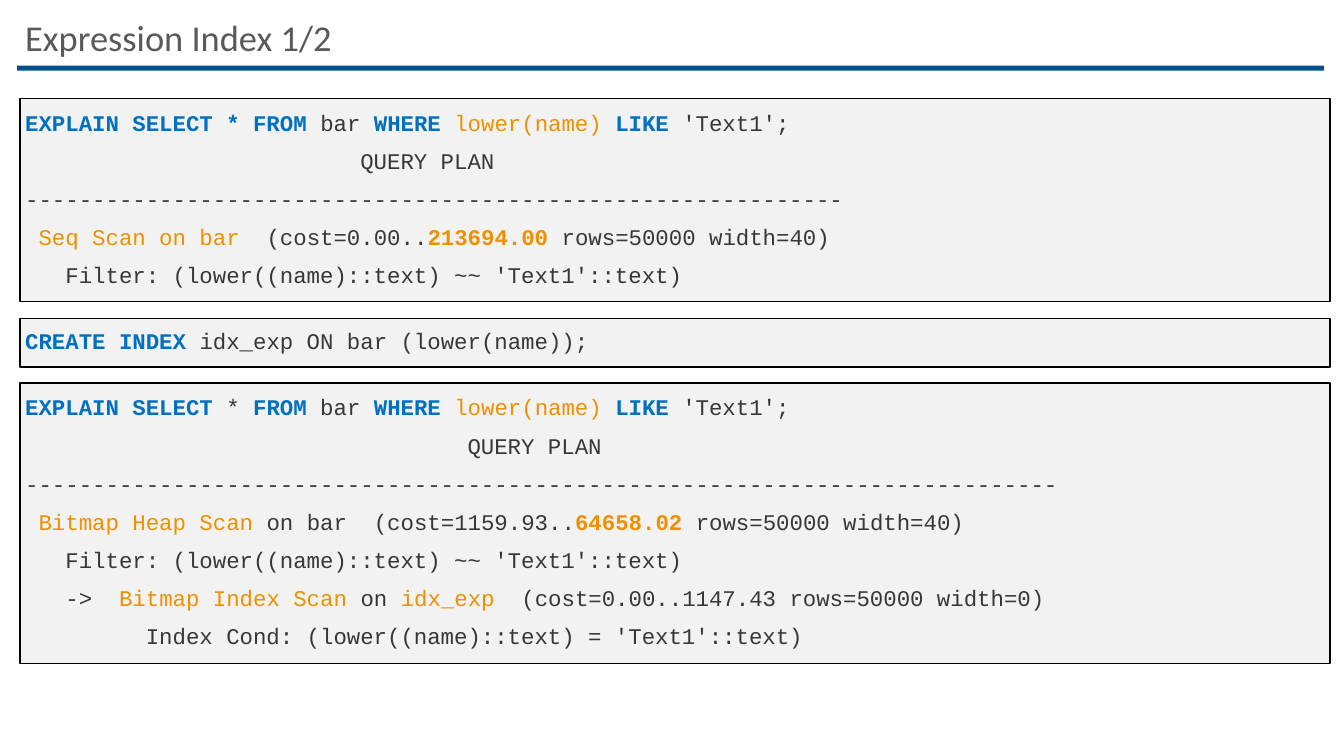
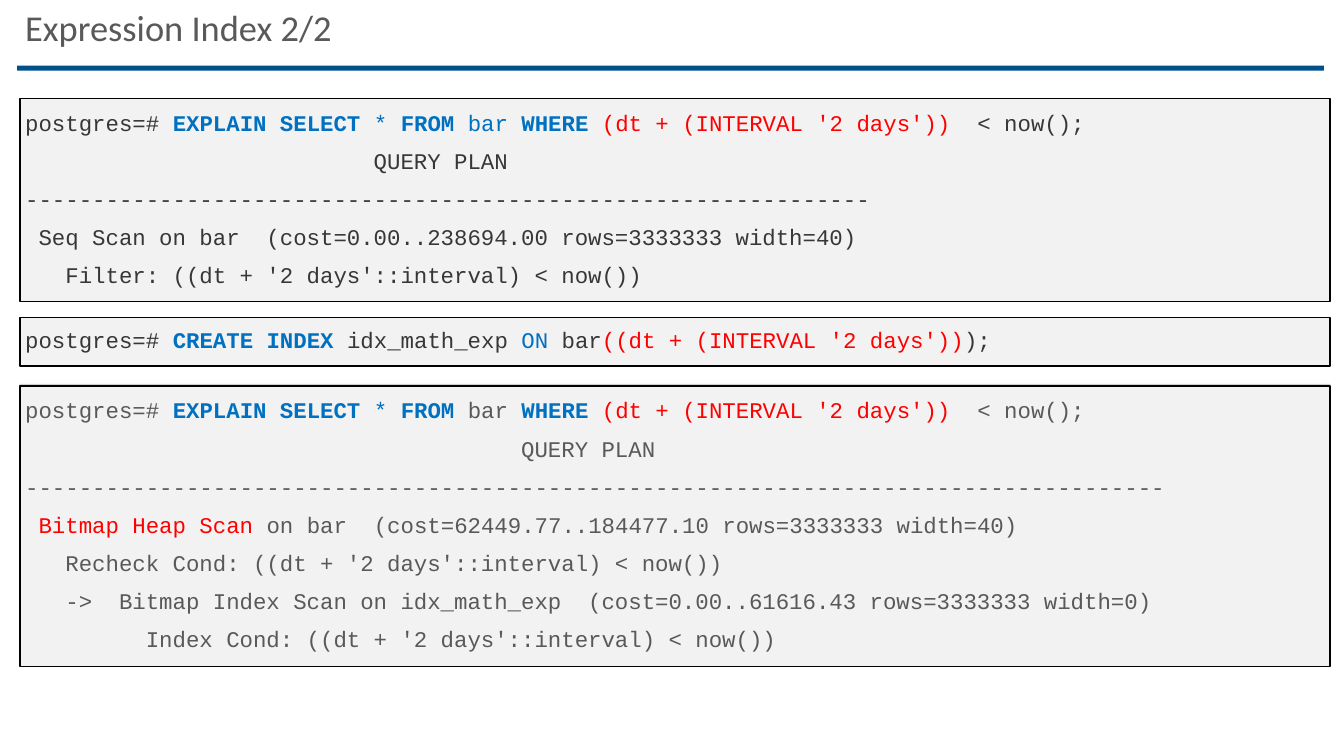
from lxml.etree import SubElement
from pptx import Presentation
from pptx.dml.color import RGBColor as RGB
from pptx.enum.shapes import MSO_SHAPE as SHAPE
from pptx.enum.text import MSO_ANCHOR as ANCHOR, PP_ALIGN as ALIGN
from pptx.oxml.ns import qn
from pptx.util import Inches, Pt

HUES = {
    "rule": "00508C", "title": "595959", "panel": "F2F2F2", "edge": "000000",
    "code": "373737", "grey": "595959", "blue": "0070C0",
    "gold": "EF9000", "red": "FF0000",
}
LEFT, WIDE = 0.2, 12.99
PITCH = 2.3 / 6  # height of one code line with its gap
HEAD = "QUERY PLAN"


def hue(name):
    return RGB.from_string(HUES[name])


def kw(text):
    return text, "blue", True


def blue(text):
    return text, "blue", False


def gold(text, bold=False):
    return text, "gold", bold


def red(text):
    return text, "red", False


def plan(size):
    """Give the centred plan heading and its dashes."""
    return [[" " * ((size - len(HEAD)) // 2) + HEAD], ["-" * size]]


def write(shape, lines, font="Courier New", size=16, color="code", gap=10):
    """Fill a shape with lines of runs; a run is a string or (text, hue, bold)."""
    frame = shape.text_frame
    frame.word_wrap = True
    frame.vertical_anchor = ANCHOR.MIDDLE
    frame.margin_left = frame.margin_right = Inches(0.05)
    frame.margin_top = frame.margin_bottom = Inches(0.05)
    for num, line in enumerate(lines):
        para = frame.add_paragraph() if num else frame.paragraphs[0]
        para.alignment = ALIGN.LEFT
        para.line_spacing = 0.9
        para.space_before = Pt(gap if num else 0)
        for part in line:
            text, tone, bold = (part, color, False) if isinstance(part, str) else part
            run = para.add_run()
            run.text = text
            run.font.name = font
            run.font.size = Pt(size)
            run.font.bold = bold
            run.font.color.rgb = hue(tone)


def rect(slide, left, top, width, height, fill, edge=None):
    box = slide.shapes.add_shape(
        SHAPE.RECTANGLE, Inches(left), Inches(top), Inches(width), Inches(height))
    box.shadow.inherit = False
    box.fill.solid()
    box.fill.fore_color.rgb = hue(fill)
    if edge:
        box.line.color.rgb = hue(edge)
        box.line.width = Pt(1)
    else:
        box.line.fill.background()
    return box


def shade(box):
    """Cast a faint shadow above the box."""
    list_ = box._element.spPr.find(qn("a:effectLst"))
    outer = SubElement(list_, qn("a:outerShdw"), dist=str(Pt(1)), dir="16200000",
                       rotWithShape="0")
    tone = SubElement(outer, qn("a:srgbClr"), val=HUES["edge"])
    SubElement(tone, qn("a:alpha"), val="19000")


def panel(slide, top, lines, color="code"):
    tall = 0.48 + PITCH * (len(lines) - 1)
    box = rect(slide, LEFT, top, WIDE, tall, "panel", "edge")
    write(box, lines, color=color)
    return box


def page(deck, title, top, height):
    slide = deck.slides.add_slide(deck.slide_layouts[6])
    rect(slide, 0.17, 0.65, 12.96, 0.05, "rule")
    box = slide.shapes.add_textbox(
        Inches(LEFT), Inches(top), Inches(WIDE), Inches(height))
    write(box, [[title]], font="Calibri", size=26, color="title")
    return slide


def lower(deck):
    slide = page(deck, "Expression Index 1/2", 0, 0.79)
    where = [kw("WHERE "), gold("lower(name) "), kw("LIKE"), " 'Text1';"]
    check = ["   Filter: (lower((name)::text) ~~ 'Text1'::text)"]
    panel(slide, 0.98, [
        [kw("EXPLAIN SELECT * FROM "), "bar ", *where],
        *plan(61),
        [" ", gold("Seq Scan on bar"), "  (cost=0.00..", gold("213694.00", True),
         " rows=50000 width=40)"],
        check,
    ])
    panel(slide, 3.16, [[kw("CREATE INDEX "), "idx_exp ON bar (lower(name));"]])
    panel(slide, 3.8, [
        [kw("EXPLAIN SELECT"), " * ", kw("FROM"), " bar ", *where],
        *plan(77),
        [" ", gold("Bitmap Heap Scan "), "on bar  (cost=1159.93..",
         gold("64658.02", True), " rows=50000 width=40)"],
        check,
        ["   ->  ", gold("Bitmap Index Scan "), "on ", gold("idx_exp"),
         "  (cost=0.00..1147.43 rows=50000 width=0)"],
        ["         Index Cond: (lower((name)::text) = 'Text1'::text)"],
    ])


def dates(deck):
    slide = page(deck, "Expression Index 2/2", 0.05, 0.5)
    term = "(dt + (INTERVAL '2 days'))"
    cond = "((dt + '2 days'::interval) < now())"
    prompt = "postgres=# "

    def query(table):
        return [prompt, kw("EXPLAIN SELECT"), blue(" * "), kw("FROM "), table,
                kw("WHERE "), red(term), "  < now();"]

    panel(slide, 0.98, [
        query(blue("bar ")),
        *plan(63),
        [" Seq Scan on bar  (cost=0.00..238694.00 rows=3333333 width=40)"],
        ["   Filter: " + cond],
    ])
    panel(slide, 3.15, [
        [prompt, kw("CREATE INDEX "), "idx_math_exp ", blue("ON"), " bar",
         red("(" + term), ");"],
    ])
    last = panel(slide, 3.83, [
        query("bar "),
        *plan(85),
        [" ", red("Bitmap Heap Scan "),
         "on bar  (cost=62449.77..184477.10 rows=3333333 width=40)"],
        ["   Recheck Cond: " + cond],
        ["   ->  Bitmap Index Scan on idx_math_exp"
         "  (cost=0.00..61616.43 rows=3333333 width=0)"],
        ["         Index Cond: " + cond],
    ], color="grey")
    shade(last)


def main():
    deck = Presentation()
    deck.slide_width, deck.slide_height = Inches(13.33), Inches(7.5)
    lower(deck)
    dates(deck)
    deck.save("out.pptx")


if __name__ == "__main__":
    main()
